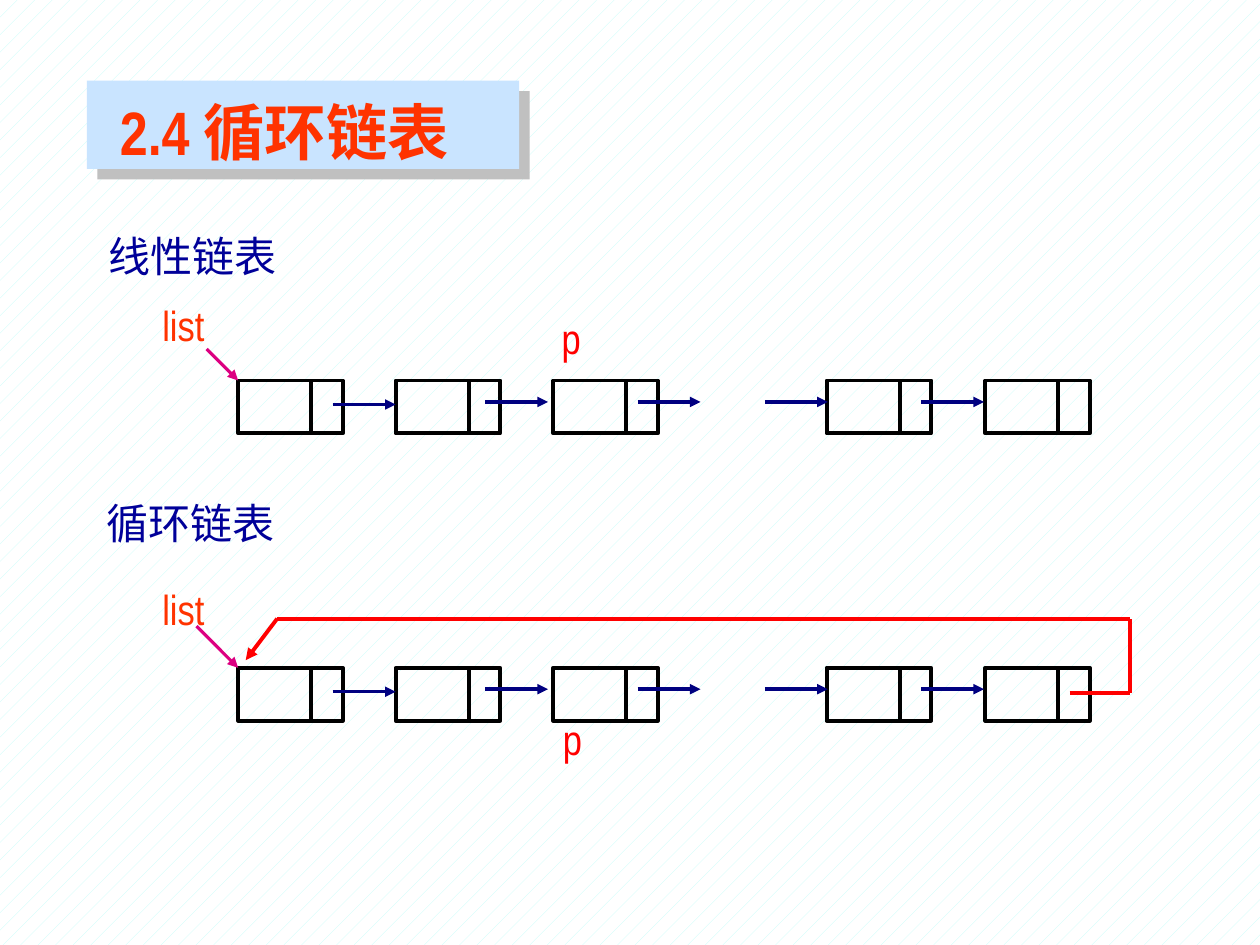
from lxml import etree
from pptx import Presentation
from pptx.dml.color import RGBColor
from pptx.enum.dml import MSO_PATTERN
from pptx.enum.shapes import MSO_CONNECTOR, MSO_SHAPE
from pptx.enum.text import MSO_ANCHOR, PP_ALIGN
from pptx.oxml import parse_xml
from pptx.oxml.ns import nsdecls, qn
from pptx.util import Inches, Pt

LATIN, CHINESE = "Arial Narrow", "Noto Sans CJK SC"
rgb = RGBColor.from_string


def write(box, text, color, size=24, bold=False, font=LATIN, align=PP_ALIGN.LEFT, spacing=None):
    """Append a run to the first paragraph of the box."""
    box.text_frame.word_wrap = True
    para = box.text_frame.paragraphs[0]
    para.alignment = align
    para.line_spacing = spacing
    span = para.add_run()
    span.text = text
    span.font.size, span.font.bold, span.font.name = Pt(size), bold, font
    span.font.color.rgb = rgb(color)
    latin = span.font._element.find(qn("a:latin"))
    latin.addnext(parse_xml(f'<a:ea {nsdecls("a")} typeface="{CHINESE}"/>'))
    return span


def draw_line(x1, y1, x2, y2, color, width, arrow=True):
    line = page.shapes.add_connector(
        MSO_CONNECTOR.STRAIGHT, Inches(x1), Inches(y1), Inches(x2), Inches(y2))
    line.line.color.rgb = rgb(color)
    line.line.width = Pt(width)
    if arrow:
        etree.SubElement(line.line._get_or_add_ln(), qn("a:tailEnd"), type="triangle")
    etree.SubElement(line.element.spPr, qn("a:effectLst"))


deck = Presentation()
deck.slide_width, deck.slide_height = Inches(10), Inches(7.5)
page = deck.slides.add_slide(deck.slide_layouts[5])

backdrop = page.background.fill
backdrop.patterned()
backdrop.pattern = MSO_PATTERN.PERCENT_5
backdrop.fore_color.rgb = rgb("C1FEF9")
backdrop.back_color.rgb = rgb("FFFFFF")

# Title on its shadowed panel
panel = page.shapes.add_shape(
    MSO_SHAPE.RECTANGLE, Inches(0.69), Inches(0.64), Inches(3.43), Inches(0.7))
panel.fill.solid()
panel.fill.fore_color.rgb = rgb("C9E4FF")
panel.line.fill.background()
panel.element.spPr.append(parse_xml(
    f'<a:effectLst {nsdecls("a")}><a:outerShdw dist="{Pt(8.5)}" dir="2700000" algn="ctr"'
    ' rotWithShape="0"><a:srgbClr val="C0C0C0"/></a:outerShdw></a:effectLst>'))

title = page.shapes.title
title.left, title.top = Inches(0.74), Inches(0.7)
title.width, title.height = Inches(3.71), Inches(0.68)
title.text_frame.vertical_anchor = MSO_ANCHOR.TOP
panel.element.addnext(title.element)
for text, font in ((" 2.4 ", LATIN), ("循环链表", CHINESE)):
    span = write(title, text, "FF3300", size=35, bold=True, font=font)
    span.font._element.find(qn("a:solidFill")).addnext(parse_xml(
        f'<a:effectLst {nsdecls("a")}><a:outerShdw dist="{Pt(1.5)}" dir="2700000">'
        '<a:srgbClr val="FFFFFF"/></a:outerShdw></a:effectLst>'))

# The two lists: nodes of a data cell and a pointer cell, joined by arrows
DATA_WIDTH, POINTER_WIDTH, NODE_HEIGHT = 0.58, 0.25, 0.42
NODE_LEFTS = (1.89, 3.14, 4.39, 6.56, 7.82)
LINK_STARTS = (2.64, 3.85, 5.06, 6.07, 7.31)
LINK_LENGTH = 0.5

for node_top, pointer_offset in ((3.02, 0.25), (5.3, 0.33)):
    for left in NODE_LEFTS:
        for cell_left, width in ((left, DATA_WIDTH), (left + DATA_WIDTH, POINTER_WIDTH)):
            cell = page.shapes.add_shape(
                MSO_SHAPE.RECTANGLE, Inches(cell_left), Inches(node_top),
                Inches(width), Inches(NODE_HEIGHT))
            cell.shadow.inherit = False
            cell.fill.background()
            cell.line.color.rgb = rgb("000000")
            cell.line.width = Pt(2.25)
    for index, start in enumerate(LINK_STARTS):
        y = node_top + (0.17 if index else 0.19)
        draw_line(start, y, start + LINK_LENGTH, y, "000080", 2)
    draw_line(NODE_LEFTS[0] - pointer_offset, node_top - pointer_offset,
              NODE_LEFTS[0], node_top, "DC0081", 1.75)

# Link from the last node back to the first
draw_line(8.49, 5.5, 8.97, 5.5, "FF0000", 2.25, arrow=False)
draw_line(8.97, 5.5, 8.97, 4.91, "FF0000", 2.25, arrow=False)
draw_line(8.97, 4.91, 2.2, 4.91, "FF0000", 2.25, arrow=False)
draw_line(2.2, 4.91, 1.95, 5.24, "FF0000", 2.25)

heading = dict(color="000099", spacing=0.85)
pointer_name = dict(color="FF3300", align=PP_ALIGN.CENTER)
node_name = dict(color="FF0000")
for text, left, top, width, height, style in (
    ("线性链表", 0.76, 1.84, 1.99, 0.44, heading),
    ("循环链表", 0.75, 3.96, 1.99, 0.44, heading),
    ("list", 1.14, 2.33, 0.63, 0.5, pointer_name),
    ("list", 1.14, 4.58, 0.63, 0.5, pointer_name),
    ("p", 4.36, 2.43, 0.4, 0.5, node_name),
    ("p", 4.37, 5.61, 0.4, 0.5, node_name),
):
    label = page.shapes.add_textbox(Inches(left), Inches(top), Inches(width), Inches(height))
    write(label, text, **style)

deck.save("out.pptx")
